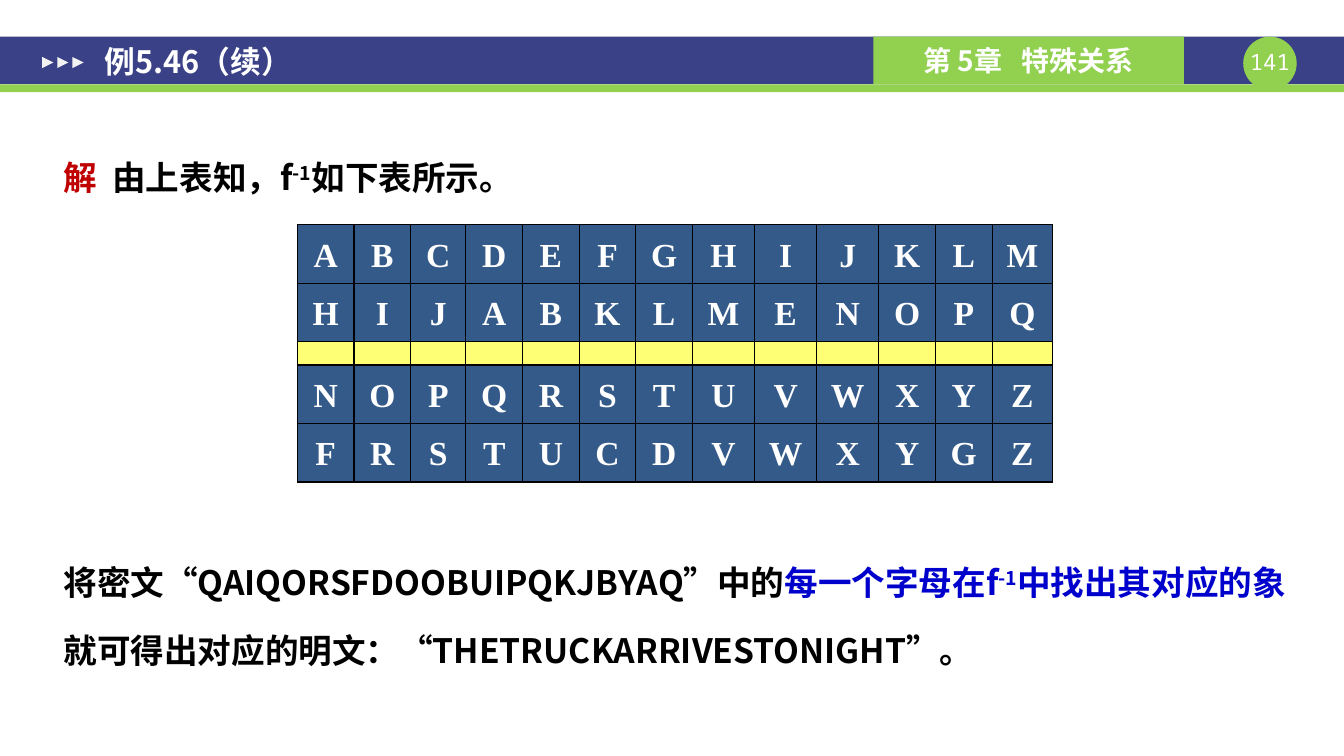
from dataclasses import dataclass

from lxml.etree import SubElement
from pptx import Presentation
from pptx.dml.color import RGBColor
from pptx.enum.shapes import MSO_SHAPE
from pptx.enum.text import MSO_ANCHOR, PP_ALIGN
from pptx.oxml.ns import qn
from pptx.shapes.autoshape import Shape
from pptx.slide import Slide
from pptx.table import Table, _Cell
from pptx.text.text import TextFrame, _Paragraph
from pptx.util import Pt

COLORS = {
    "navy": "3A4187", "green": "92D050", "arrow": "F2F2F2", "white": "FFFFFF",
    "black": "000000", "red": "C00000", "blue": "0000CC",
    "cell": "1F497D", "divider": "FFFF66",
}
SANS = "Noto Sans CJK SC"
MONO = "Noto Sans Mono"
SERIF = "Times New Roman"

COLUMN_WIDTHS = [40.5] * 2 + [39.5] + [40.5] * 4 + [44.4] * 3 + [40.5] * 2 + [43.3]
CIPHER_ROWS = ["ABCDEFGHIJKLM", "HIJABKLMENOPQ", "", "NOPQRSTUVWXYZ", "FRSTUCDVWXYGZ"]
ROW_HEIGHT, DIVIDER_HEIGHT = 41.8, 16.7


@dataclass
class Block:
    kind: MSO_SHAPE
    left: float
    top: float
    width: float
    height: float
    color: str
    rotation: float = 0


@dataclass
class Piece:
    text: str
    color: str = "black"
    size: float = 24
    font: str = SANS
    bold: bool = True
    superscript: bool = False
    spacing: float = 0


@dataclass
class TextArea:
    top: float
    height: float
    pieces: list[Piece]


BLOCKS = [
    Block(MSO_SHAPE.RECTANGLE, 0, 26.2, 960.5, 34, "navy"),
    Block(MSO_SHAPE.RECTANGLE, 0, 60.2, 960.5, 5.6, "green"),
    Block(MSO_SHAPE.OVAL, 888.5, 26.2, 38.2, 38.2, "green"),
] + [
    Block(MSO_SHAPE.ISOSCELES_TRIANGLE, 30.2 + 10.8 * index, 40.7, 7.9, 7.9, "arrow", 90)
    for index in range(3)
]

CHAPTER = [
    Piece("第 5章", "white", 20),
    Piece(" ", "white", 20, spacing=9),
    Piece("特殊关系", "white", 20),
]

TEXT_AREAS = [
    TextArea(87.8, 68, [
        Piece("解 ", "red"),
        Piece(" 由上表知，f"),
        Piece("-1", superscript=True),
        Piece("如下表所示。"),
    ]),
    TextArea(377.3, 126, [
        Piece("将密文“QAIQORSFDOOBUIPQKJBYAQ”中的"),
        Piece("每一个字母在f", "blue"),
        Piece("-1", "blue", superscript=True),
        Piece("中找出其对应的象", "blue"),
        Piece("就可得出对应的明文：“THETRUCKARRIVESTONIGHT”。"),
    ]),
]


def rgb(name: str) -> RGBColor:
    return RGBColor.from_string(COLORS[name])


def add_block(slide: Slide, block: Block) -> Shape:
    shape = slide.shapes.add_shape(
        block.kind, Pt(block.left), Pt(block.top), Pt(block.width), Pt(block.height))
    shape.shadow.inherit = False
    shape.fill.solid()
    shape.fill.fore_color.rgb = rgb(block.color)
    shape.line.fill.background()
    shape.rotation = block.rotation
    return shape


def add_pieces(paragraph: _Paragraph, pieces: list[Piece]) -> None:
    for piece in pieces:
        run = paragraph.add_run()
        run.text = piece.text
        run.font.size = Pt(piece.size)
        run.font.bold = piece.bold
        run.font.color.rgb = rgb(piece.color)
        run.font.name = piece.font
        properties = run._r.get_or_add_rPr()
        SubElement(properties, qn("a:ea"), typeface=piece.font)
        if piece.superscript:
            properties.set("baseline", "30000")
        if piece.spacing:
            properties.set("spc", str(round(piece.spacing * 100)))


def set_insets(frame: TextFrame, horizontal: float, vertical: float) -> None:
    frame.margin_left = frame.margin_right = Pt(horizontal)
    frame.margin_top = frame.margin_bottom = Pt(vertical)
    frame.word_wrap = True


def add_text_area(slide: Slide, area: TextArea) -> None:
    shape = slide.shapes.add_textbox(Pt(36), Pt(area.top), Pt(900), Pt(area.height))
    set_insets(shape.text_frame, 9.4, 5)
    paragraph = shape.text_frame.paragraphs[0]
    paragraph.line_spacing = 1.67
    add_pieces(paragraph, area.pieces)


def format_cell(cell: _Cell, color: str) -> None:
    properties = cell._tc.get_or_add_tcPr()
    for side in ("a:lnL", "a:lnR", "a:lnT", "a:lnB"):
        border = SubElement(properties, qn(side), w=str(Pt(1)))
        line_fill = SubElement(border, qn("a:solidFill"))
        SubElement(line_fill, qn("a:srgbClr"), val=COLORS["black"])
    cell.fill.solid()
    cell.fill.fore_color.rgb = rgb(color)
    SubElement(properties.find(f"{qn('a:solidFill')}/{qn('a:srgbClr')}"),
               qn("a:alpha"), val="90000")


def add_cipher_table(slide: Slide) -> Table:
    heights = [ROW_HEIGHT if letters else DIVIDER_HEIGHT for letters in CIPHER_ROWS]
    table = slide.shapes.add_table(
        len(CIPHER_ROWS), len(COLUMN_WIDTHS), Pt(212.5), Pt(160.5),
        Pt(sum(COLUMN_WIDTHS)), Pt(sum(heights))).table
    table.first_row = table.horz_banding = False
    for column, width in zip(table.columns, COLUMN_WIDTHS):
        column.width = Pt(width)
    for row, height, letters in zip(table.rows, heights, CIPHER_ROWS):
        row.height = Pt(height)
        for index, cell in enumerate(row.cells):
            format_cell(cell, "cell" if letters else "divider")
            paragraph = cell.text_frame.paragraphs[0]
            if letters:
                paragraph.alignment = PP_ALIGN.CENTER
                paragraph.line_spacing = 1.2
                add_pieces(paragraph, [Piece(letters[index], "white", font=SERIF)])
            else:
                cell.margin_top = cell.margin_bottom = Pt(0)
                SubElement(paragraph._p, qn("a:endParaRPr"), sz="800")
    return table


def format_title(slide: Slide) -> None:
    title = slide.shapes.title
    title.left, title.top, title.width, title.height = Pt(65.5), Pt(20.9), Pt(847.5), Pt(46.1)
    set_insets(title.text_frame, 9.4, 5)
    title.text_frame.vertical_anchor = MSO_ANCHOR.MIDDLE
    paragraph = title.text_frame.paragraphs[0]
    paragraph.alignment = PP_ALIGN.LEFT
    add_pieces(paragraph, [Piece("例5.46（续）", "white", 22)])
    slide.shapes._spTree.append(title._element)


def main() -> None:
    presentation = Presentation()
    presentation.slide_width, presentation.slide_height = Pt(960.5), Pt(540)
    slide = presentation.slides.add_slide(presentation.slide_layouts[5])
    for block in BLOCKS:
        add_block(slide, block)

    chapter = add_block(slide, Block(MSO_SHAPE.RECTANGLE, 624.2, 26.2, 221.8, 34, "green"))
    chapter.text_frame.vertical_anchor = MSO_ANCHOR.MIDDLE
    chapter.text_frame.paragraphs[0].alignment = PP_ALIGN.CENTER
    add_pieces(chapter.text_frame.paragraphs[0], CHAPTER)

    number = slide.shapes.add_textbox(Pt(888.5), Pt(34.6), Pt(38.2), Pt(19.4))
    set_insets(number.text_frame, 0, 0)
    number.text_frame.paragraphs[0].alignment = PP_ALIGN.CENTER
    add_pieces(number.text_frame.paragraphs[0], [Piece("141", "white", 16, MONO, False)])

    for area in TEXT_AREAS:
        add_text_area(slide, area)
    add_cipher_table(slide)
    format_title(slide)
    presentation.save("out.pptx")


if __name__ == "__main__":
    main()
